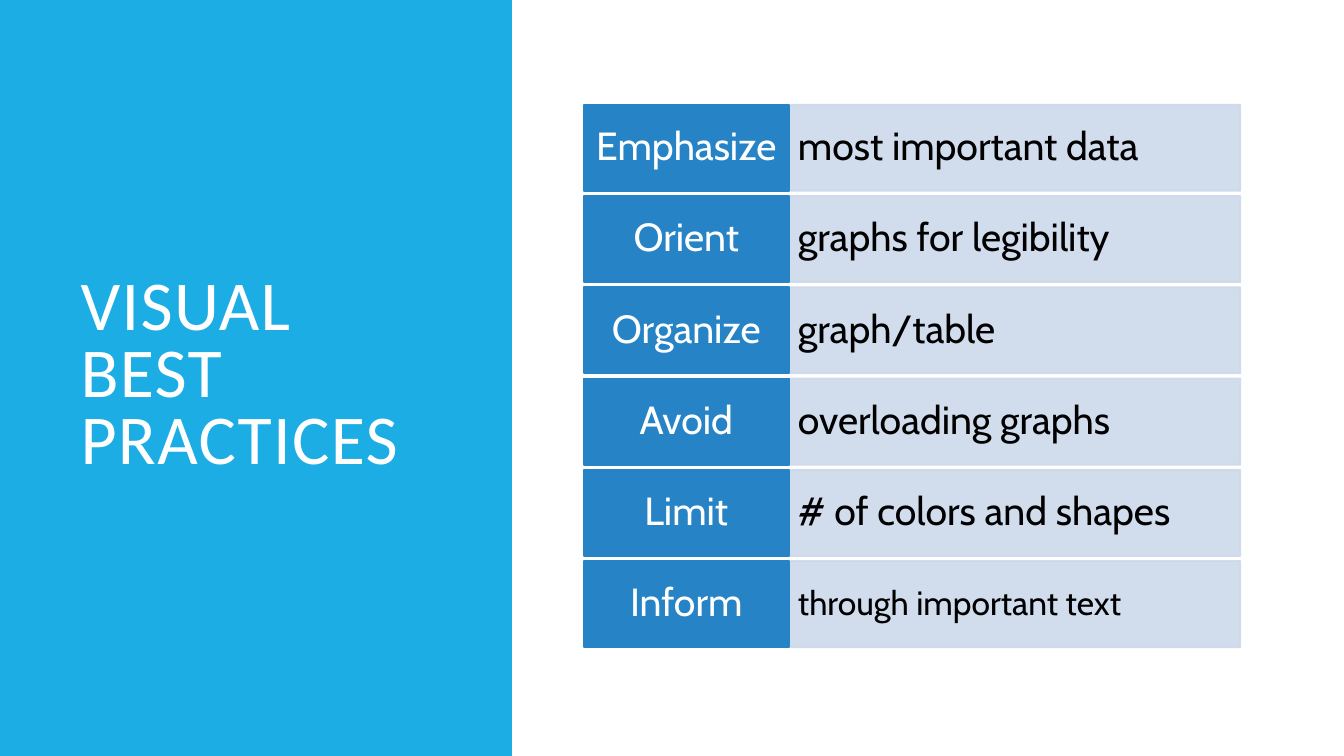
from dataclasses import dataclass

from lxml import etree
from pptx import Presentation
from pptx.dml.color import RGBColor
from pptx.enum import shapes, text
from pptx.oxml import ns
from pptx.shapes.autoshape import Shape
from pptx.util import Cm, Pt

SKY = RGBColor(0x1C, 0xAD, 0xE4)
BLUE = RGBColor(0x26, 0x83, 0xC6)
PALE = RGBColor(0xCD, 0xD9, 0xEA)
WHITE = RGBColor(0xFF, 0xFF, 0xFF)
BLACK = RGBColor(0, 0, 0)

TOP, STEP, HIGH = 2.64, 2.3, 2.17


@dataclass(frozen=True)
class Style:
    left: float
    width: float
    fill: RGBColor
    ink: RGBColor
    align: text.PP_ALIGN
    side: float
    edge: float
    alpha: int = 100


@dataclass(frozen=True)
class Tip:
    verb: str
    goal: str
    size: int = 28


VERB = Style(14.71, 5.17, BLUE, WHITE, text.PP_ALIGN.CENTER, 0.16, 0.2)
GOAL = Style(19.88, 11.38, PALE, BLACK, text.PP_ALIGN.LEFT, 0.23, 0.56, 90)

TIPS = [
    Tip("Emphasize", "most important data"),
    Tip("Orient", "graphs for legibility"),
    Tip("Organize", "graph/table"),
    Tip("Avoid", "overloading graphs"),
    Tip("Limit", "# of colors and shapes"),
    Tip("Inform", "through important text", 24),
]


def add_rect(slide, left: float, top: float, width: float, height: float,
             fill: RGBColor) -> Shape:
    rect = slide.shapes.add_shape(
        shapes.MSO_SHAPE.RECTANGLE, Cm(left), Cm(top), Cm(width), Cm(height))
    rect.shadow.inherit = False
    rect.fill.solid()
    rect.fill.fore_color.rgb = fill
    rect.line.fill.background()
    return rect


def write(shape: Shape, words: str, font: str, size: int, ink: RGBColor,
          align: text.PP_ALIGN, lead: float):
    frame = shape.text_frame
    frame.word_wrap = True
    frame.vertical_anchor = text.MSO_ANCHOR.MIDDLE
    para = frame.paragraphs[0]
    para.alignment = align
    para.line_spacing = lead
    run = para.add_run()
    run.text = words
    run.font.name = font
    run.font.size = Pt(size)
    run.font.color.rgb = ink
    return run


def add_cell(slide, top: float, words: str, size: int, style: Style) -> None:
    cell = add_rect(slide, style.left, top, style.width, HIGH, style.fill)
    cell.line.color.rgb = style.fill
    cell.line.width = Pt(1.25)
    if style.alpha < 100:
        for tint in cell.fill._xPr.iter(ns.qn("a:srgbClr")):
            etree.SubElement(tint, ns.qn("a:alpha"), val=str(style.alpha * 1000))
    frame = cell.text_frame
    frame.margin_left = frame.margin_right = Cm(style.side)
    frame.margin_top = frame.margin_bottom = Cm(style.edge)
    write(cell, words, "Cabin", size, style.ink, style.align, 0.9)


def add_title(slide) -> None:
    box = slide.shapes.add_textbox(Cm(1.78), Cm(1.78), Cm(9.3), Cm(15.47))
    run = write(box, "VISUAL BEST PRACTICES", "Calibri", 50, WHITE,
                text.PP_ALIGN.LEFT, 0.8)
    run.font._element.set("spc", "100")


def main() -> None:
    deck = Presentation()
    deck.slide_width, deck.slide_height = Cm(33.87), Cm(19.05)
    slide = deck.slides.add_slide(deck.slide_layouts[6])
    add_rect(slide, 0, 0, 12.9, 19.05, SKY)
    add_title(slide)
    for row, tip in enumerate(TIPS):
        top = TOP + row * STEP
        add_cell(slide, top, tip.goal, tip.size, GOAL)
        add_cell(slide, top, tip.verb, 28, VERB)
    deck.save("out.pptx")


if __name__ == "__main__":
    main()
